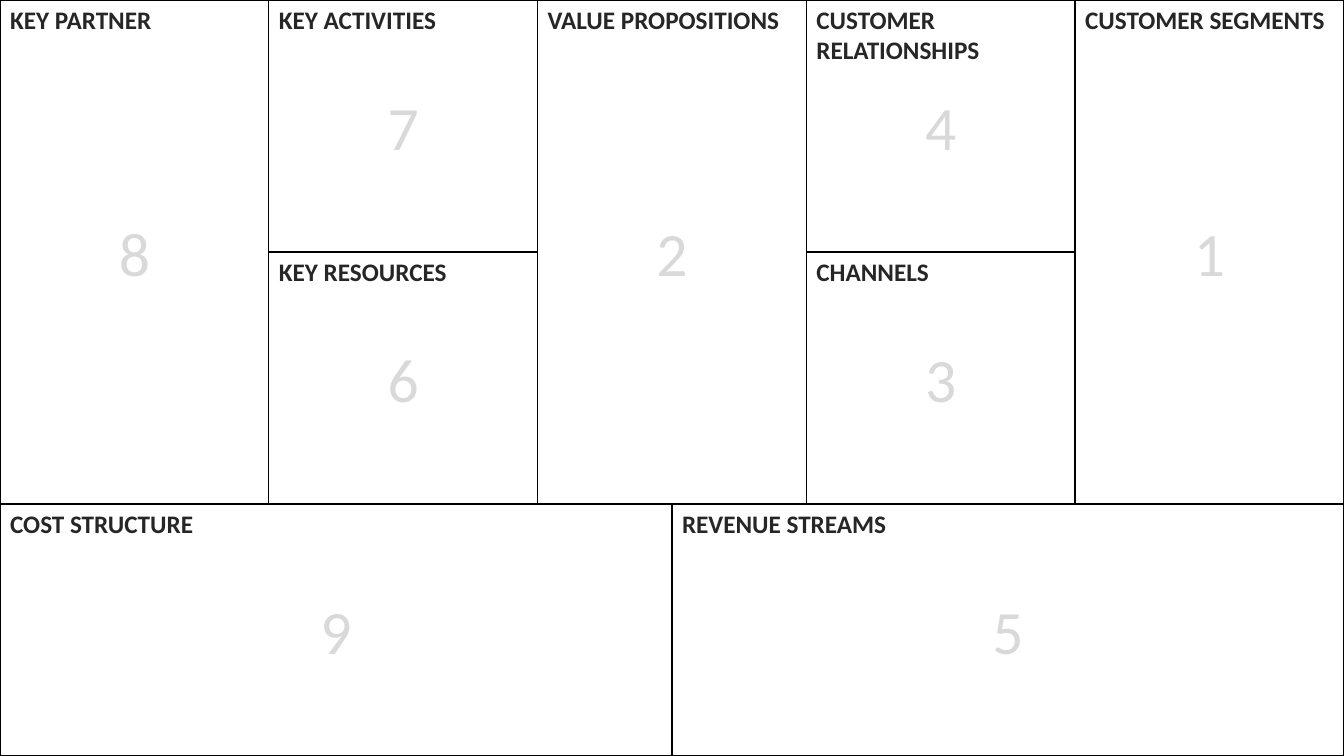
from lxml import etree
from pptx import Presentation
from pptx import util as u
from pptx.dml import color
from pptx.enum import text
from pptx.oxml import ns

THEME = {
    "border": "000000",
    "border_width": u.Pt(1),
    "heading": {"name": "Calibri", "size": u.Pt(18), "bold": True, "color": "262626"},
    "number": {"name": "Calibri", "size": u.Pt(44), "bold": False, "color": "D9D9D9"},
}

COLUMN_SHARES = [2, 2, 1, 1, 2, 2]
ROW_COUNT = 3

BLOCKS = [
    ("KEY PARTNER", 8, 0, 0, 2, 1),
    ("KEY ACTIVITIES", 7, 0, 1, 1, 1),
    ("KEY RESOURCES", 6, 1, 1, 1, 1),
    ("VALUE PROPOSITIONS", 2, 0, 2, 2, 2),
    ("CUSTOMER RELATIONSHIPS", 4, 0, 4, 1, 1),
    ("CHANNELS", 3, 1, 4, 1, 1),
    ("CUSTOMER SEGMENTS", 1, 0, 5, 2, 1),
    ("COST STRUCTURE", 9, 2, 0, 1, 3),
    ("REVENUE STREAMS", 5, 2, 3, 1, 3),
]


def write(frame, content, style):
    paragraph = frame.paragraphs[0]
    run = paragraph.add_run()
    run.text = content
    for name, value in style.items():
        if name == "color":
            run.font.color.rgb = color.RGBColor.from_string(value)
        else:
            setattr(run.font, name, value)
    return paragraph


def add_borders(cell):
    properties = cell._tc.get_or_add_tcPr()
    for position, side in enumerate(("lnL", "lnR", "lnT", "lnB")):
        line = etree.Element(ns.qn("a:" + side), w=str(THEME["border_width"]))
        fill = etree.SubElement(line, ns.qn("a:solidFill"))
        etree.SubElement(fill, ns.qn("a:srgbClr"), val=THEME["border"])
        properties.insert(position, line)


presentation = Presentation()
presentation.slide_width = u.Inches(13.33)
presentation.slide_height = u.Inches(7.5)
slide = presentation.slides.add_slide(presentation.slide_layouts[6])

column_unit = presentation.slide_width // sum(COLUMN_SHARES)
row_height = presentation.slide_height // ROW_COUNT

for heading, number, row, column, row_span, column_span in BLOCKS:
    box = slide.shapes.add_textbox(
        column_unit * sum(COLUMN_SHARES[:column]),
        row_height * row,
        column_unit * sum(COLUMN_SHARES[column:column + column_span]),
        row_height * row_span,
    )
    frame = box.text_frame
    frame.word_wrap = True
    frame.vertical_anchor = text.MSO_ANCHOR.MIDDLE
    paragraph = write(frame, str(number), THEME["number"])
    paragraph.alignment = text.PP_ALIGN.CENTER

canvas = slide.shapes.add_table(
    ROW_COUNT, len(COLUMN_SHARES), 0, 0,
    presentation.slide_width, presentation.slide_height,
).table
canvas.first_row = False
canvas.horz_banding = False
for column, share in zip(canvas.columns, COLUMN_SHARES):
    column.width = column_unit * share
for row in canvas.rows:
    row.height = row_height
for cell in canvas.iter_cells():
    cell.fill.background()
    add_borders(cell)

for heading, number, row, column, row_span, column_span in BLOCKS:
    cell = canvas.cell(row, column)
    if row_span * column_span > 1:
        cell.merge(canvas.cell(row + row_span - 1, column + column_span - 1))
    write(cell.text_frame, heading, THEME["heading"])

presentation.save("out.pptx")
